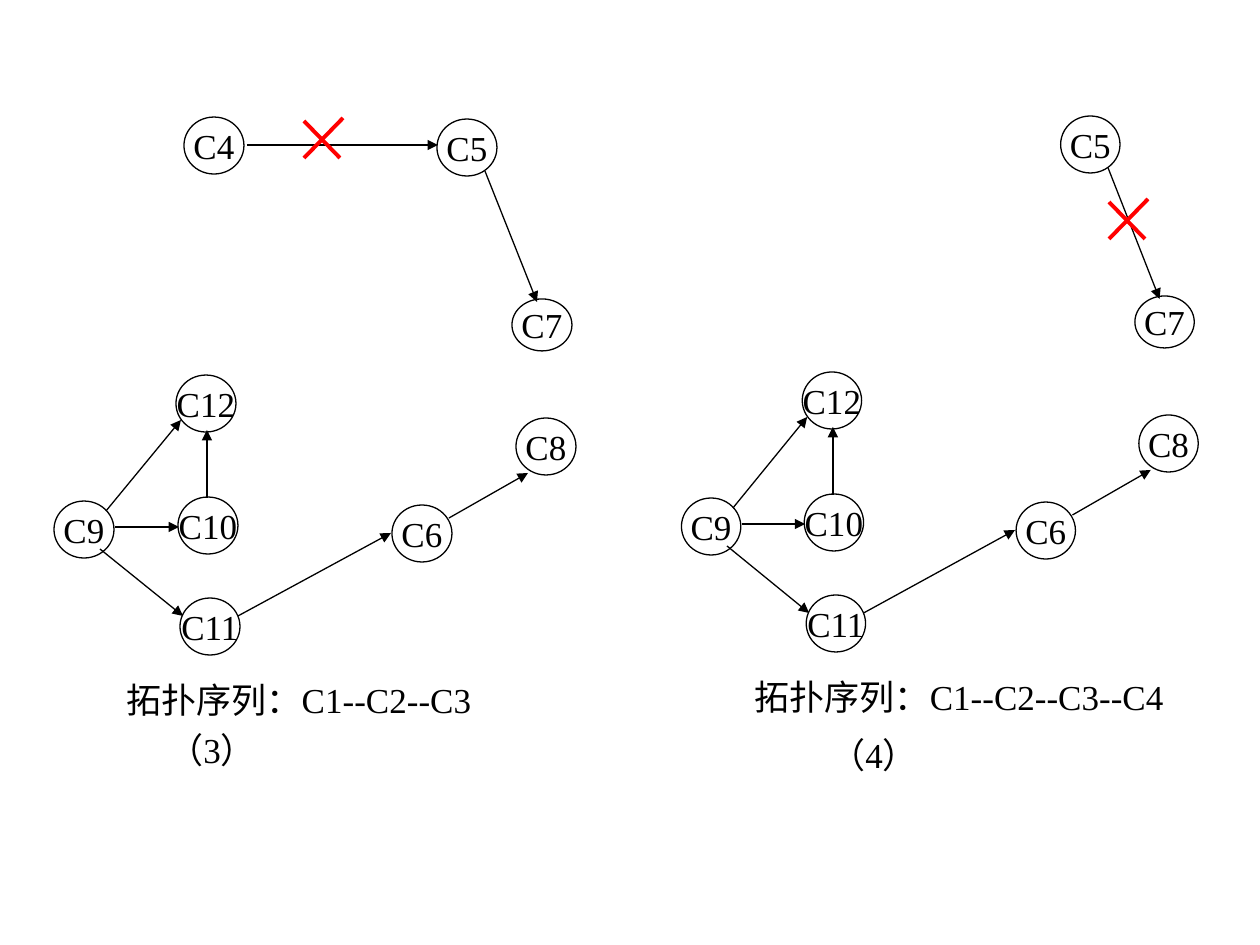
import pptx
import pptx.dml.color
import pptx.enum.shapes
import pptx.enum.text
import pptx.oxml.ns
import pptx.util
from lxml import etree

PX = 914400 / 126
FONT = "Times New Roman"
BLACK, RED = "000000", "FF0000"
NODE_W, NODE_H = 60, 57

# name: left, top, height
NODES = {
    "C4": (184, 117, NODE_H), "C5": (437, 119, NODE_H), "C6": (392, 505, NODE_H),
    "C7": (512, 299, 52), "C8": (516, 418, NODE_H), "C9": (54, 501, NODE_H),
    "C10": (178, 497, NODE_H), "C11": (180, 598, NODE_H), "C12": (176, 375, NODE_H),
}
# (source, target): x1, y1, x2, y2
EDGES = {
    ("C4", "C5"): (247, 145, 438, 145),
    ("C5", "C7"): (485, 171, 537, 302),
    ("C9", "C12"): (106, 511, 181, 420),
    ("C9", "C10"): (115, 527, 179, 527),
    ("C10", "C12"): (207, 498, 207, 430),
    ("C9", "C11"): (100, 549, 183, 616),
    ("C11", "C6"): (238, 616, 391, 533),
    ("C6", "C8"): (449, 518, 528, 473),
}
CROSS = [(0, 3, 36, 40), (39, 0, 0, 40)]
PANELS = [
    {"removed": [], "scale": 1, "dx": 0, "dy": 0, "cross": (304, 118),
     "texts": [("拓扑序列：C1--C2--C3", (114, 672, 380, 55)),
               ("（3）", (156, 722, 130, 55))]},
    {"removed": ["C4"], "scale": 0.99, "dx": 628, "dy": -3, "cross": (1109, 199),
     "texts": [("拓扑序列：C1--C2--C3--C4", (742, 669, 446, 55)),
               ("（4）", (818, 727, 130, 55))]},
]


def emu(*lengths):
    return [round(n * PX) for n in lengths]


def rgb(color):
    return pptx.dml.color.RGBColor.from_string(color)


def write(sp, text, *, size=20, color=BLACK, align="LEFT", anchor="TOP", fit="NONE"):
    tf = sp.text_frame
    tf.word_wrap = False
    tf.auto_size = getattr(pptx.enum.text.MSO_AUTO_SIZE, fit)
    tf.vertical_anchor = getattr(pptx.enum.text.MSO_ANCHOR, anchor)
    p = tf.paragraphs[0]
    p.alignment = getattr(pptx.enum.text.PP_ALIGN, align)
    r = p.add_run()
    r.text = text
    r.font.name, r.font.size = FONT, pptx.util.Pt(size)
    r.font.color.rgb = rgb(color)


def add_line(shapes, ends, color=BLACK, width=0.75, arrow=False):
    cx = shapes.add_connector(pptx.enum.shapes.MSO_CONNECTOR.STRAIGHT, *emu(*ends))
    cx.line.color.rgb = rgb(color)
    cx.line.width = pptx.util.Pt(width)
    if arrow:
        etree.SubElement(cx.line._get_or_add_ln(), pptx.oxml.ns.qn("a:tailEnd"),
                         type="triangle")
    etree.SubElement(cx._element.spPr, pptx.oxml.ns.qn("a:effectLst"))


def add_node(shapes, name, box):
    sp = shapes.add_shape(pptx.enum.shapes.MSO_SHAPE.OVAL, *emu(*box))
    sp.shadow.inherit = False
    sp.fill.background()
    sp.line.color.rgb = rgb(BLACK)
    sp.line.width = pptx.util.Pt(0.75)
    write(sp, name, align="CENTER", anchor="MIDDLE")


def add_panel(slide, panel):
    shapes = slide.shapes.add_group_shape().shapes
    scale, dx, dy = panel["scale"], panel["dx"], panel["dy"]
    for name, (x, y, h) in NODES.items():
        if name not in panel["removed"]:
            add_node(shapes, name, (x * scale + dx, y + dy, NODE_W * scale, h))
    for (source, _), (x1, y1, x2, y2) in EDGES.items():
        if source not in panel["removed"]:
            add_line(shapes, (x1 * scale + dx, y1 + dy, x2 * scale + dx, y2 + dy),
                     arrow=True)
    for text, box in panel["texts"]:
        write(shapes.add_textbox(*emu(*box)), text, fit="SHAPE_TO_FIT_TEXT")


def add_cross(slide, left, top):
    shapes = slide.shapes.add_group_shape().shapes
    for x1, y1, x2, y2 in CROSS:
        add_line(shapes, (left + x1, top + y1, left + x2, top + y2), RED, 2.25)


def main():
    prs = pptx.Presentation()
    prs.slide_width, prs.slide_height = emu(1260, 945)
    slide = prs.slides.add_slide(prs.slide_layouts[6])
    for panel in PANELS:
        add_panel(slide, panel)
    for panel in PANELS:
        add_cross(slide, *panel["cross"])
    prs.save("out.pptx")


if __name__ == "__main__":
    main()
